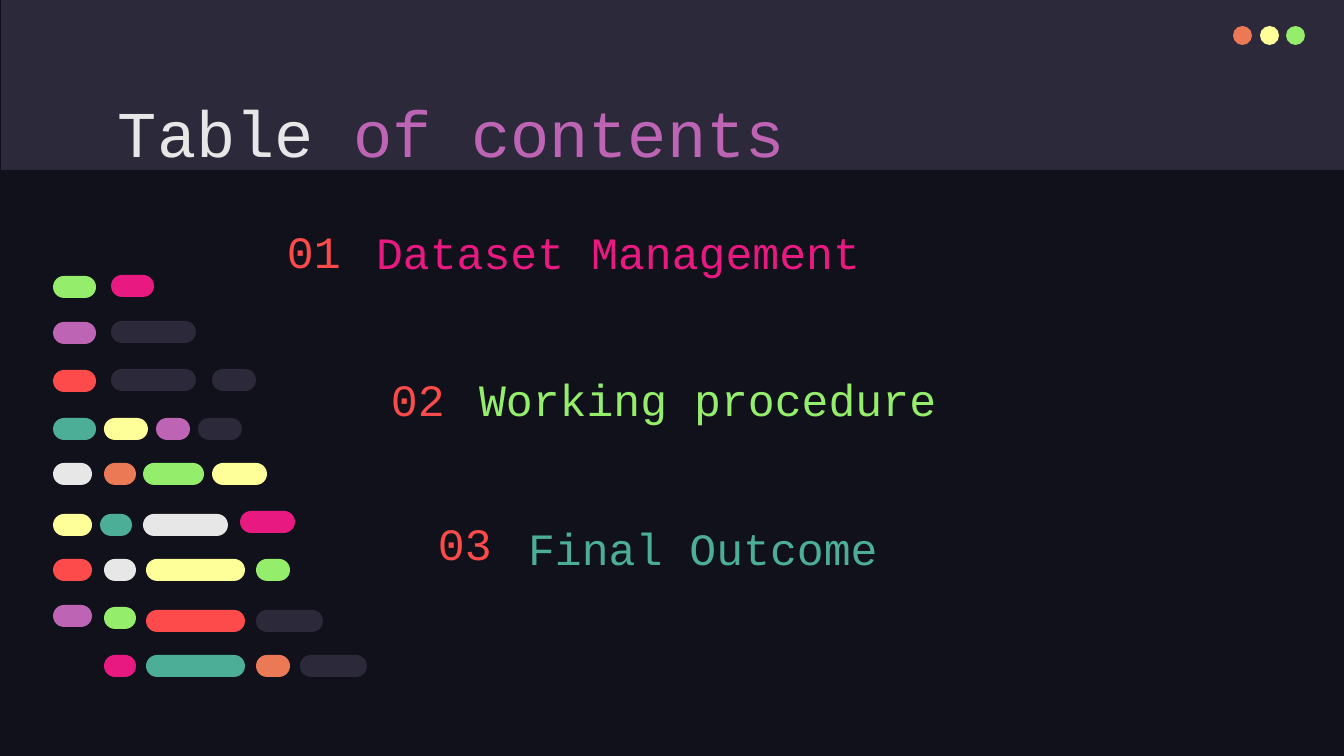
"""Builds a table of contents slide styled as a code editor."""
from pptx import Presentation
from pptx import util as u
from pptx.dml.color import RGBColor
from pptx.enum import shapes, text

PX = 914400 / 134.4
FONT = "Courier New"
DARK, PANEL, WHITE = "10111A", "2C293A", "E7E7E7"
RED, PINK, GREEN, TEAL = "FD4A4A", "E81A81", "94EE6B", "4CAE97"
PURPLE, YELLOW, ORANGE = "BD64B5", "FFFF99", "EC7955"

TITLE = [("Table ", WHITE), ("of contents", PURPLE)]
DOTS = [(1233, ORANGE), (1260, YELLOW), (1286, GREEN)]
# number, heading, colour, number left, heading left, top, number height
ITEMS = [
    ("01", "Dataset Management", PINK, 274, 363, 216, 58),
    ("02", "Working procedure", GREEN, 378, 466, 364, 58),
    ("03", "Final Outcome", TEAL, 425, 515, 513, 48),
]
PILLS = [
    [(53, 276, 43, GREEN), (111, 275, 43, PINK)],
    [(53, 322, 43, PURPLE), (111, 321, 85, PANEL)],
    [(53, 370, 43, RED), (111, 369, 85, PANEL), (212, 369, 44, PANEL)],
    [(53, 418, 43, TEAL), (104, 418, 44, YELLOW), (156, 418, 34, PURPLE), (198, 418, 44, PANEL)],
    [(53, 463, 39, WHITE), (104, 463, 32, ORANGE), (143, 463, 61, GREEN), (212, 463, 55, YELLOW)],
    [(53, 514, 39, YELLOW), (100, 514, 32, TEAL), (143, 514, 85, WHITE), (240, 511, 55, PINK)],
    [(53, 559, 39, RED), (104, 559, 32, WHITE), (146, 559, 99, YELLOW), (256, 559, 34, GREEN)],
    [(53, 605, 39, PURPLE), (104, 607, 32, GREEN), (146, 610, 99, RED), (256, 610, 67, PANEL)],
    [(104, 655, 32, PINK), (146, 655, 99, TEAL), (256, 655, 34, ORANGE), (300, 655, 67, PANEL)],
]


def px(n):
    return u.Emu(round(n * PX))


def rgb(value):
    return RGBColor.from_string(value)


def add_block(s, kind, box, color):
    sp = s.shapes.add_shape(kind, *map(px, box))
    sp.shadow.inherit = False
    sp.fill.solid()
    sp.fill.fore_color.rgb = rgb(color)
    sp.line.fill.background()
    return sp


def write(sp, runs, size, anchor, top, bottom, spacing=1.0):
    tf = sp.text_frame
    fmt = dict(word_wrap=True, auto_size=text.MSO_AUTO_SIZE.NONE,
               vertical_anchor=anchor, margin_left=px(13), margin_right=px(13),
               margin_top=px(top), margin_bottom=px(bottom))
    for name, value in fmt.items():
        setattr(tf, name, value)
    p = tf.paragraphs[0]
    p.alignment = text.PP_ALIGN.LEFT
    p.line_spacing = spacing
    for words, color in runs:
        r = p.add_run()
        r.text = words
        r.font.name, r.font.size = FONT, u.Pt(size)
        r.font.color.rgb = rgb(color)


def main():
    prs = Presentation()
    prs.slide_width, prs.slide_height = px(1344), px(756)
    s = prs.slides.add_slide(prs.slide_layouts[5])
    s.background.fill.solid()
    s.background.fill.fore_color.rgb = rgb(DARK)
    kinds, anchors = shapes.MSO_SHAPE, text.MSO_ANCHOR

    band = add_block(s, kinds.RECTANGLE, (1, 0, 1343, 170), PANEL)
    title = s.shapes.title
    band._element.addnext(title._element)
    title.left, title.top, title.width, title.height = map(px, (105, 66, 1133, 85))
    write(title, TITLE, 35, anchors.TOP, 26, 0)

    for x, color in DOTS:
        add_block(s, kinds.OVAL, (x, 26, 19, 19), color)

    for number, heading, color, num_x, head_x, y, num_h in ITEMS:
        sp = s.shapes.add_textbox(*map(px, (num_x, y, 89, num_h)))
        write(sp, [(number, RED)], 24, anchors.MIDDLE, 12, 0)
        sp = s.shapes.add_textbox(*map(px, (head_x, y, 618, 71)))
        write(sp, [(heading, color)], 24, anchors.BOTTOM, 13, 9, 1.15)

    for row in PILLS:
        for x, y, w, color in row:
            sp = add_block(s, kinds.ROUNDED_RECTANGLE, (x, y, w, 22), color)
            sp.adjustments[0] = 0.5

    prs.save("out.pptx")


if __name__ == "__main__":
    main()
